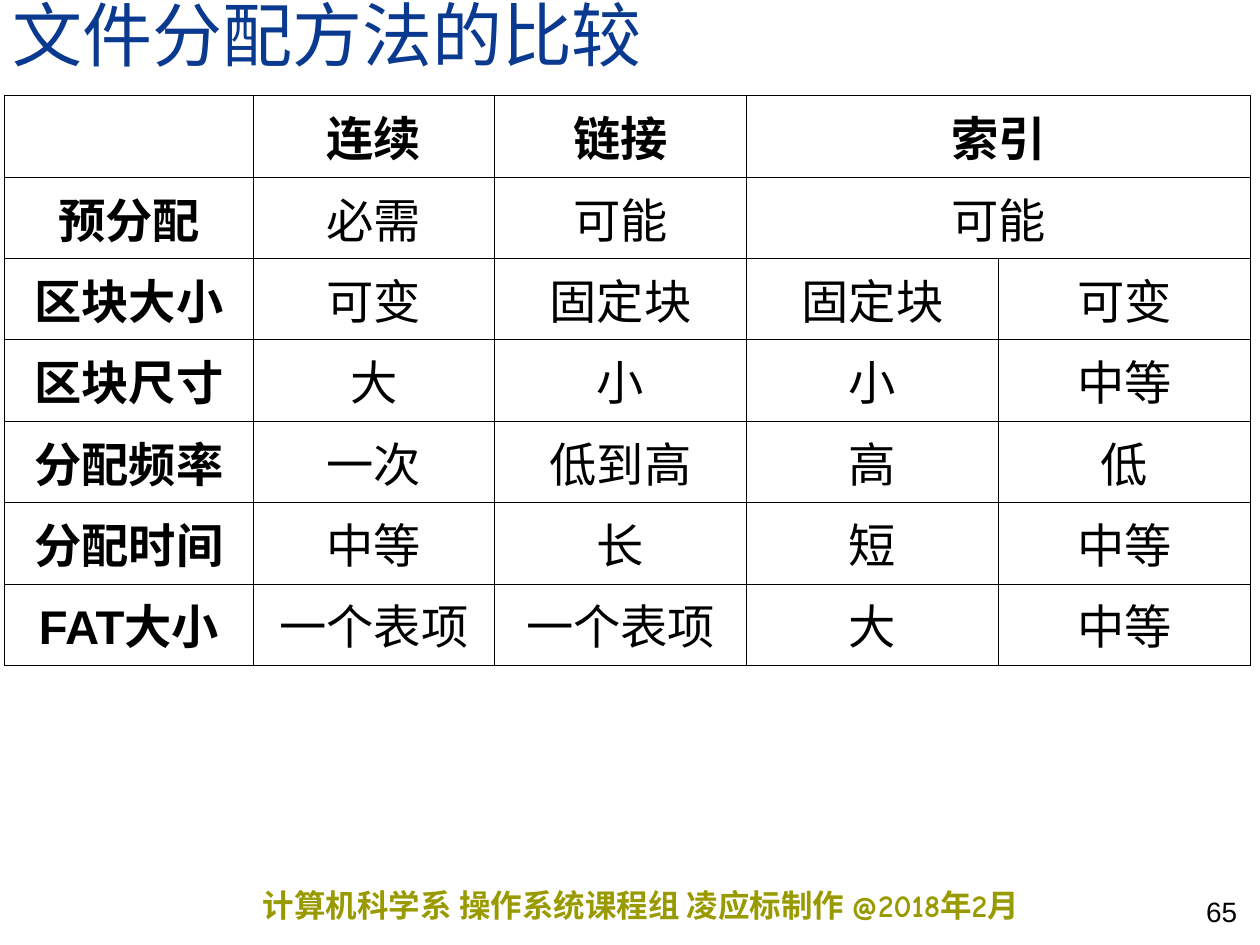
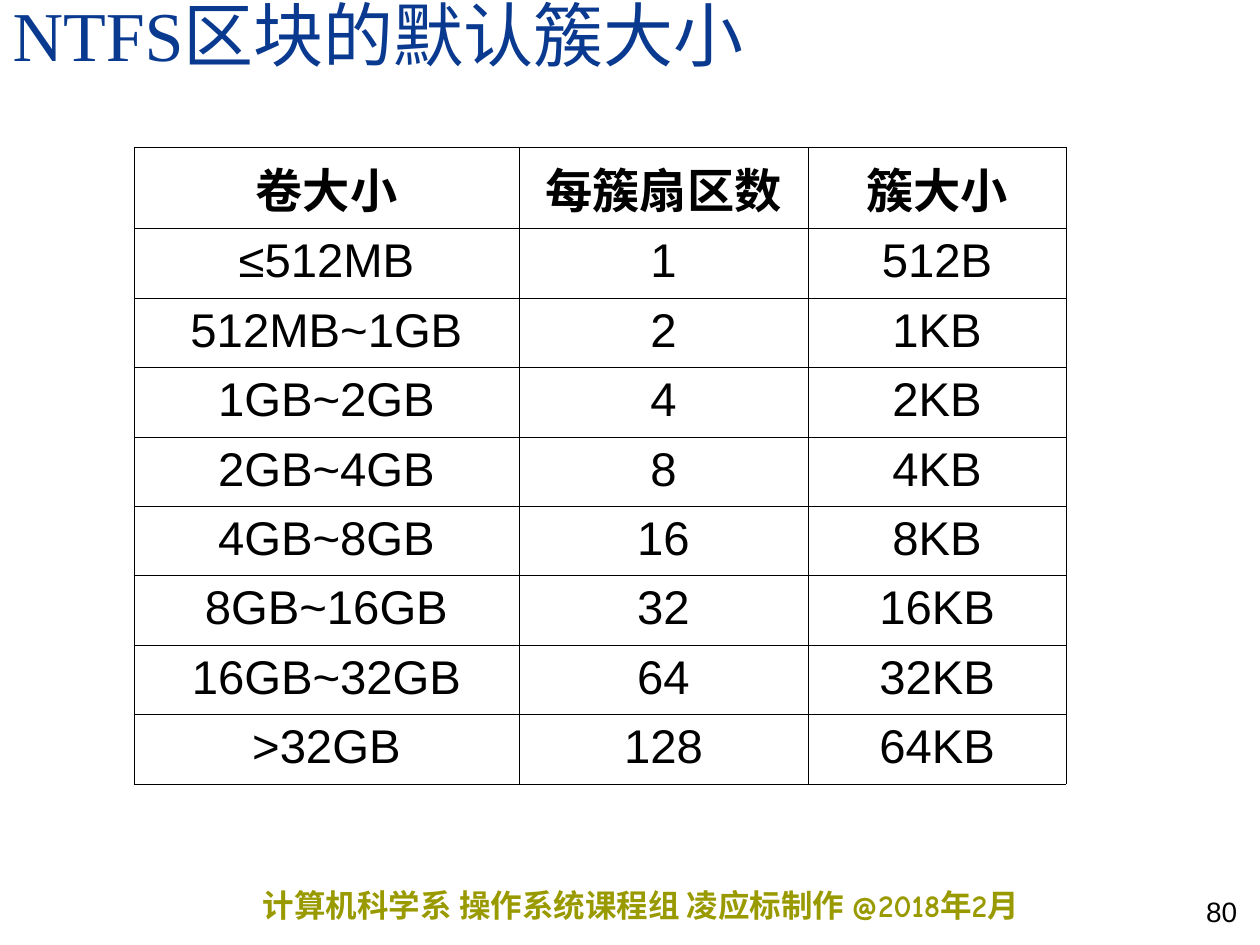
from dataclasses import dataclass

from lxml.etree import SubElement
from pptx import Presentation
from pptx.dml.color import RGBColor
from pptx.enum.lang import MSO_LANGUAGE_ID
from pptx.enum.text import MSO_ANCHOR, MSO_AUTO_SIZE, PP_ALIGN
from pptx.oxml.ns import qn
from pptx.util import Cm, Pt


@dataclass(frozen=True)
class Theme:
    blue: str = "0A3A90"
    olive: str = "999900"
    black: str = "000000"
    serif: str = "Times New Roman"
    sans: str = "Arial"
    comic: str = "Comic Neue"
    title: float = 40
    cell: float = 27
    foot: float = 18
    page: float = 16
    rule: float = 0.45


THEME = Theme()
TALL, LOW = 1.64, 1.4  # row heights in cm: Chinese text, Latin text
FOOT = "计算机科学系 操作系统课程组 凌应标制作 @2018年2月"

METHODS = [
    ["", "连续", "链接", "索引", None],
    ["预分配", "必需", "可能", "可能", None],
    ["区块大小", "可变", "固定块", "固定块", "可变"],
    ["区块尺寸", "大", "小", "小", "中等"],
    ["分配频率", "一次", "低到高", "高", "低"],
    ["分配时间", "中等", "长", "短", "中等"],
    ["FAT大小", "一个表项", "一个表项", "大", "中等"],
]
CLUSTERS = [
    ["卷大小", "每簇扇区数", "簇大小"],
    ["≤512MB", "1", "512B"],
    ["512MB~1GB", "2", "1KB"],
    ["1GB~2GB", "4", "2KB"],
    ["2GB~4GB", "8", "4KB"],
    ["4GB~8GB", "16", "8KB"],
    ["8GB~16GB", "32", "16KB"],
    ["16GB~32GB", "64", "32KB"],
    [">32GB", "128", "64KB"],
]


def assign(target, values):
    """Set each named attribute of the target."""
    for name, value in values.items():
        setattr(target, name, value)


def write(frame, text, face, size, color, bold=False, align=PP_ALIGN.LEFT):
    para = frame.paragraphs[0]
    para.alignment = align
    run = para.add_run()
    run.text = text
    assign(run.font, {
        "name": face,
        "size": Pt(size),
        "bold": bold,
        "language_id": MSO_LANGUAGE_ID.SIMPLIFIED_CHINESE,
    })
    run.font.color.rgb = RGBColor.from_string(color)


def place(shape, left, top, width, height):
    assign(shape, {"left": Cm(left), "top": Cm(top),
                   "width": Cm(width), "height": Cm(height)})


def add_title(slide, text):
    title = slide.shapes.title
    place(title, 0, 0, 25.4, 1.63)
    frame = title.text_frame
    assign(frame, {
        "word_wrap": True,
        "auto_size": MSO_AUTO_SIZE.NONE,
        "vertical_anchor": MSO_ANCHOR.BOTTOM,
    })
    write(frame, text, THEME.serif, THEME.title, THEME.blue)
    frame.paragraphs[0].line_spacing = 0.8


def add_page(slide, number):
    box = slide.shapes.add_textbox(Cm(21.19), Cm(17.56), Cm(4), Cm(1.27))
    frame = box.text_frame
    assign(frame, {"word_wrap": True, "vertical_anchor": MSO_ANCHOR.BOTTOM})
    write(frame, str(number), THEME.sans, THEME.page, THEME.black,
          align=PP_ALIGN.RIGHT)


def add_foot(deck, slide):
    """Build the footer on a slide, then move it to the master."""
    box = slide.shapes.add_textbox(Cm(5.3), Cm(17.73), Cm(18.59), Cm(1.02))
    frame = box.text_frame
    assign(frame, {"word_wrap": True, "margin_left": 0, "margin_right": 0})
    write(frame, FOOT, THEME.comic, THEME.foot, THEME.olive, bold=True)
    deck.slide_master.element.cSld.spTree.append(box.element)


def rule_cell(cell):
    """Draw thin lines on all four sides of a cell without fill."""
    props = cell._tc.get_or_add_tcPr()
    for side in ("a:lnL", "a:lnR", "a:lnT", "a:lnB"):
        line = SubElement(props, qn(side), w=str(int(Pt(THEME.rule))))
        fill = SubElement(line, qn("a:solidFill"))
        SubElement(fill, qn("a:srgbClr"), val=THEME.black)
    cell.fill.background()


def add_grid(slide, rows, widths, left, top, pad, body, heads=0):
    """Add a ruled table; None joins a cell to the one on its left.

    The first row and the first `heads` columns are bold, and rows
    below the first are `body` cm high.
    """
    heights = [TALL] + [body] * (len(rows) - 1)
    grid = slide.shapes.add_table(
        len(rows), len(widths), Cm(left), Cm(top),
        Cm(sum(widths)), Cm(sum(heights))).table
    assign(grid, {"first_row": False, "horz_banding": False})
    for col, width in zip(grid.columns, widths):
        col.width = Cm(width)
    for line, height in zip(grid.rows, heights):
        line.height = Cm(height)
    for r, row in enumerate(rows):
        for c, text in enumerate(row):
            cell = grid.cell(r, c)
            assign(cell, {"margin_left": Cm(pad), "margin_right": Cm(pad)})
            rule_cell(cell)
            if text is None:
                grid.cell(r, c - 1).merge(cell)
            elif text:
                write(cell.text_frame, text, THEME.sans, THEME.cell,
                      THEME.black, r == 0 or c < heads, PP_ALIGN.CENTER)


def add_slide(deck, title, number):
    slide = deck.slides.add_slide(deck.slide_layouts[5])
    add_title(slide, title)
    add_page(slide, number)
    return slide


def main():
    deck = Presentation()
    assign(deck, {"slide_width": Cm(25.4), "slide_height": Cm(19.05)})

    slide = add_slide(deck, "文件分配方法的比较", 65)
    add_foot(deck, slide)
    add_grid(slide, METHODS, [5.02, 4.86] + [5.08] * 3,
             left=0.09, top=1.93, pad=0.05, body=TALL, heads=1)

    slide = add_slide(deck, "NTFS区块的默认簇大小", 80)
    add_grid(slide, CLUSTERS, [7.76, 5.83, 5.2],
             left=2.7, top=2.97, pad=0.25, body=LOW)

    deck.save("out.pptx")


if __name__ == "__main__":
    main()
